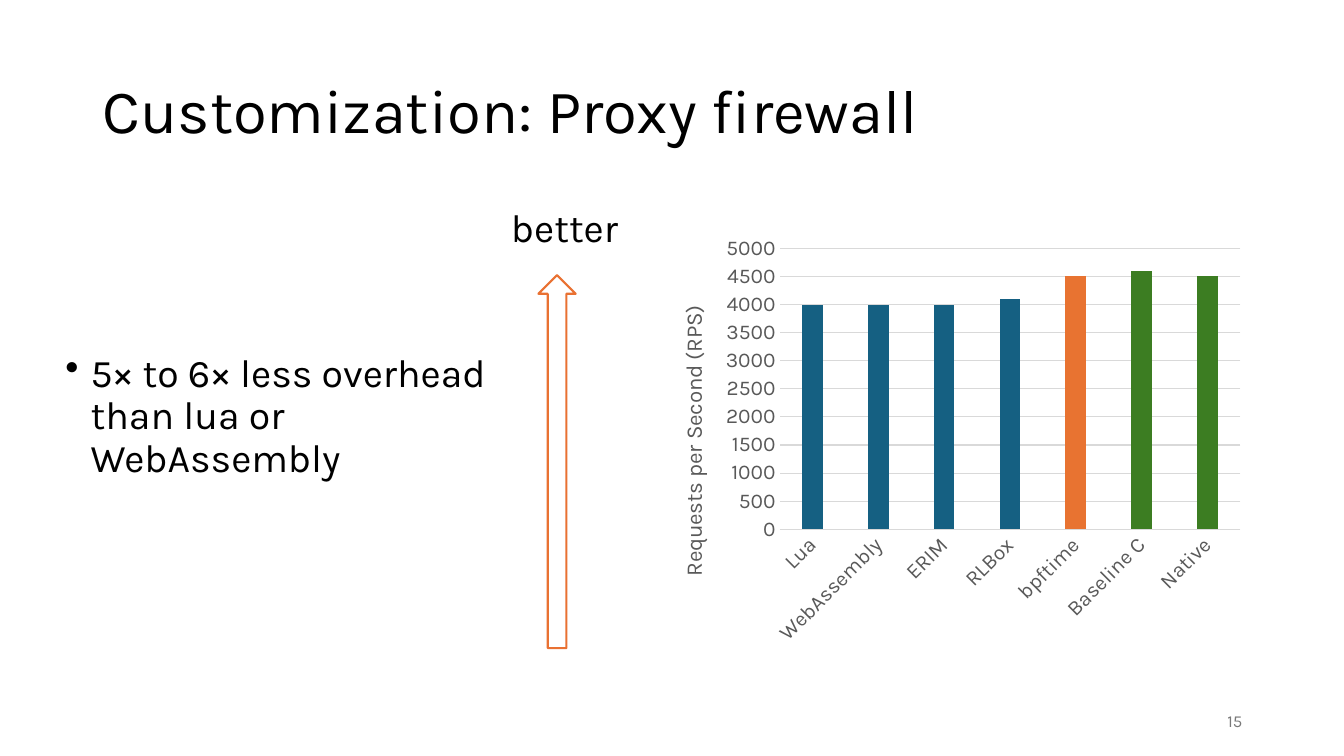
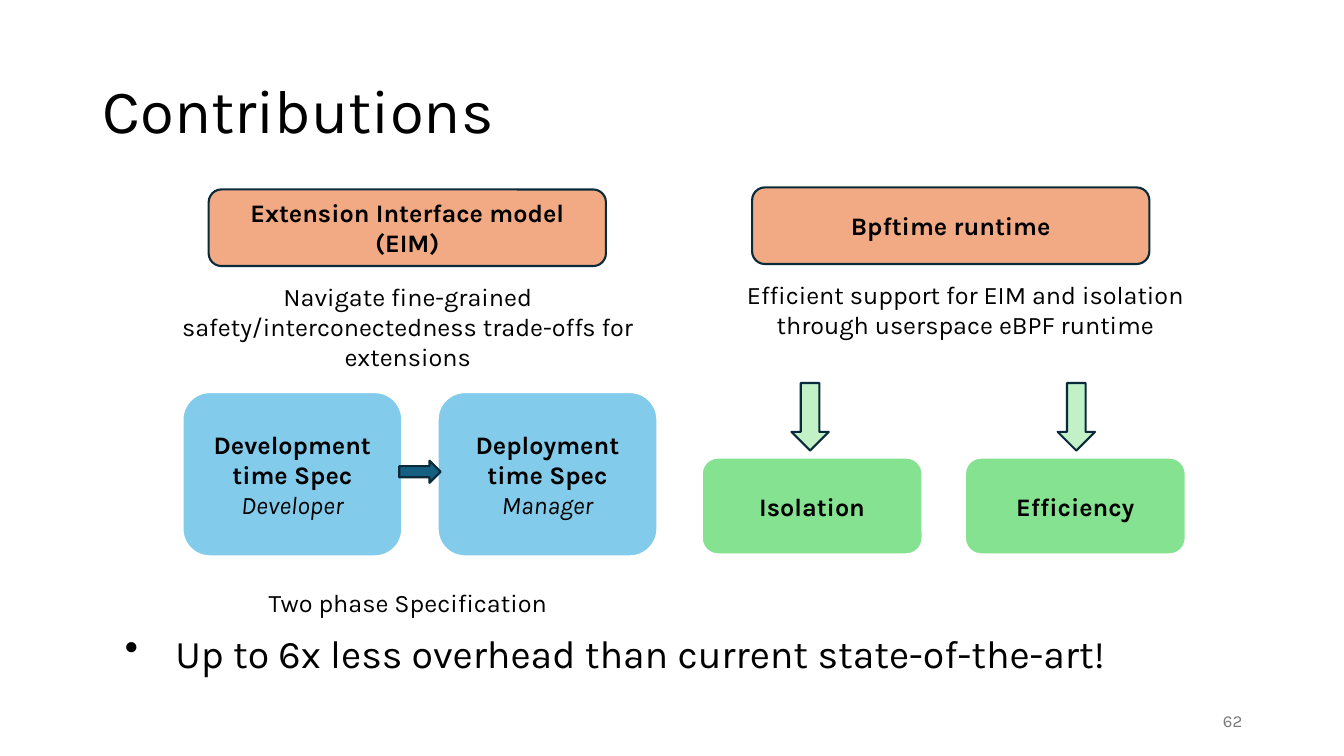
from lxml.etree import SubElement
from pptx import Presentation
from pptx.chart.data import CategoryChartData
from pptx.dml.color import RGBColor
from pptx.enum.chart import XL_CHART_TYPE, XL_TICK_MARK
from pptx.enum.shapes import MSO_SHAPE
from pptx.enum.text import MSO_ANCHOR, PP_ALIGN
from pptx.oxml.ns import qn
from pptx.util import Pt

PX = 9144  # EMU; 100 px make one inch
SLIDE_WIDTH, SLIDE_HEIGHT = 1333, 750
FONT = "Karla"
AUTOMATIC_ROTATION = "-60000000"

BLACK = RGBColor(0x00, 0x00, 0x00)
WHITE = RGBColor(0xFF, 0xFF, 0xFF)
NUMBER_GRAY = RGBColor(0x79, 0x79, 0x79)
AXIS_GRAY = RGBColor(0x59, 0x59, 0x59)
GRID_GRAY = RGBColor(0xD9, 0xD9, 0xD9)
NAVY = RGBColor(0x09, 0x2A, 0x39)
TEAL = RGBColor(0x15, 0x60, 0x82)
ORANGE = RGBColor(0xE9, 0x71, 0x32)
BAR_ORANGE = RGBColor(0xE8, 0x73, 0x31)
BAR_GREEN = RGBColor(0x3C, 0x7D, 0x22)
PEACH = RGBColor(0xF2, 0xAA, 0x84)
SKY = RGBColor(0x83, 0xCB, 0xEB)
GREEN = RGBColor(0x84, 0xE2, 0x91)
PALE_GREEN = RGBColor(0xC2, 0xF1, 0xC8)

REQUESTS_PER_SECOND = {
    "Lua": 4000,
    "WebAssembly": 4000,
    "ERIM": 4000,
    "RLBox": 4100,
    "bpftime": 4500,
    "Baseline C": 4600,
    "Native": 4500,
}
BAR_COLORS = {"bpftime": BAR_ORANGE, "Baseline C": BAR_GREEN, "Native": BAR_GREEN}


def emu(*lengths):
    return [length * PX for length in lengths]


def set_font(font, size, color, bold=False, italic=False):
    font.name = FONT
    font.size = Pt(size)
    font.color.rgb = color
    font.bold = bold
    font.italic = italic


def write(shape, text, *, size=18, color=BLACK, bold=False, italic=False,
          align=PP_ALIGN.LEFT, line_spacing=1.0, space_before=0, bullet_indent=0):
    """Write one paragraph, after any text the shape already holds."""
    frame = shape.text_frame
    paragraph = frame.add_paragraph() if frame.text else frame.paragraphs[0]
    paragraph.alignment = align
    paragraph.line_spacing = line_spacing
    paragraph.space_before = Pt(space_before)
    run = paragraph.add_run()
    run.text = text
    set_font(run.font, size, color, bold, italic)
    if bullet_indent:
        properties = paragraph._p.get_or_add_pPr()
        properties.set("marL", str(bullet_indent * PX))
        properties.set("indent", str(-bullet_indent * PX))
        SubElement(properties, qn("a:buChar")).set("char", "•")


def add_text(slide, box, text, anchor=MSO_ANCHOR.TOP, **text_format):
    shape = slide.shapes.add_textbox(*emu(*box))
    shape.text_frame.word_wrap = True
    shape.text_frame.vertical_anchor = anchor
    write(shape, text, **text_format)


def add_shape(slide, kind, box, fill, line):
    shape = slide.shapes.add_shape(kind, *emu(*box))
    shape.shadow.inherit = False
    shape.fill.solid()
    shape.fill.fore_color.rgb = fill
    shape.line.color.rgb = line
    shape.line.width = Pt(1.5)
    return shape


def add_card(slide, box, fill, line, heading, role=None):
    card = add_shape(slide, MSO_SHAPE.ROUNDED_RECTANGLE, box, fill, line)
    card.text_frame.word_wrap = True
    card.text_frame.vertical_anchor = MSO_ANCHOR.MIDDLE
    write(card, heading, bold=True, align=PP_ALIGN.CENTER)
    if role:
        write(card, role, italic=True, align=PP_ALIGN.CENTER)


def add_slide(presentation, title, number):
    slide = presentation.slides.add_slide(presentation.slide_layouts[6])
    add_text(slide, (92, 40, 1150, 145), title, MSO_ANCHOR.MIDDLE,
             size=44, line_spacing=0.9)
    add_text(slide, (942, 695, 300, 40), str(number), MSO_ANCHOR.MIDDLE,
             size=12, color=NUMBER_GRAY, align=PP_ALIGN.RIGHT)
    return slide


def add_throughput_chart(slide, box):
    data = CategoryChartData()
    data.categories = list(REQUESTS_PER_SECOND)
    data.add_series("Series 1", list(REQUESTS_PER_SECOND.values()))
    chart = slide.shapes.add_chart(
        XL_CHART_TYPE.COLUMN_CLUSTERED, *emu(*box), data).chart
    chart.has_legend = False
    chart.has_title = False
    set_font(chart.font, 10, BLACK)

    plot = chart.plots[0]
    plot.vary_by_categories = False
    plot.gap_width = 219
    plot.overlap = -27
    series = plot.series[0]
    series.format.fill.solid()
    series.format.fill.fore_color.rgb = TEAL
    for index, name in enumerate(REQUESTS_PER_SECOND):
        if name in BAR_COLORS:
            fill = series.points[index].format.fill
            fill.solid()
            fill.fore_color.rgb = BAR_COLORS[name]

    categories, values = chart.category_axis, chart.value_axis
    for axis in (categories, values):
        axis.major_tick_mark = XL_TICK_MARK.NONE
        axis.minor_tick_mark = XL_TICK_MARK.NONE
        set_font(axis.tick_labels.font, 15, AXIS_GRAY)
        axis._element.txPr.bodyPr.set("rot", AUTOMATIC_ROTATION)
    values.minimum_scale, values.maximum_scale, values.major_unit = 0, 5000, 500
    values.format.line.fill.background()
    for line in (categories.format.line, values.major_gridlines.format.line):
        line.color.rgb = GRID_GRAY
        line.width = Pt(0.75)

    values.has_title = True
    write(values.axis_title, "Requests per Second (RPS)", size=16,
          color=AXIS_GRAY, align=PP_ALIGN.CENTER)


def build_firewall_slide(presentation):
    slide = add_slide(presentation, "Customization: Proxy firewall", 15)
    add_text(slide, (55, 346, 459, 189),
             "5× to 6× less overhead than lua or WebAssembly",
             size=28, line_spacing=0.9, space_before=10, bullet_indent=25)
    add_shape(slide, MSO_SHAPE.UP_ARROW, (534, 273, 37, 370), WHITE, ORANGE)
    add_text(slide, (497, 197, 300, 57), "better", size=28)
    add_throughput_chart(slide, (652, 226, 590, 423))


def build_contributions_slide(presentation):
    slide = add_slide(presentation, "Contributions", 62)
    add_text(slide, (114, 619, 1009, 57),
             "Up to 6x less overhead than current state-of-the-art!",
             size=28, bullet_indent=50)

    for left, top, heading in ((207, 188, "Extension Interface model (EIM)"),
                               (746, 186, "Bpftime runtime")):
        add_card(slide, (left, top, 394, 76), PEACH, NAVY, heading)

    for left, top, height, caption in (
        (143, 274, 101, "Navigate fine-grained safety/interconectedness "
                        "trade-offs for extensions"),
        (696, 272, 71, "Efficient support for EIM and isolation "
                       "through userspace eBPF runtime"),
        (143, 578, 40, "Two phase Specification"),
    ):
        add_text(slide, (left, top, 523, height), caption, align=PP_ALIGN.CENTER)

    for left, heading, role in ((181, "Development time Spec", "Developer"),
                                (434, "Deployment time Spec", "Manager")):
        add_card(slide, (left, 389, 218, 163), SKY, WHITE, heading, role)
    add_shape(slide, MSO_SHAPE.RIGHT_ARROW, (396, 457, 41, 22), TEAL, NAVY)

    for card_left, arrow_left, goal in ((696, 785, "Isolation"),
                                        (957, 1049, "Efficiency")):
        add_card(slide, (card_left, 454, 219, 96), GREEN, WHITE, goal)
        add_shape(slide, MSO_SHAPE.DOWN_ARROW, (arrow_left, 380, 37, 67),
                  PALE_GREEN, NAVY)


def main():
    presentation = Presentation()
    presentation.slide_width, presentation.slide_height = emu(SLIDE_WIDTH, SLIDE_HEIGHT)
    build_firewall_slide(presentation)
    build_contributions_slide(presentation)
    presentation.save("out.pptx")


if __name__ == "__main__":
    main()
